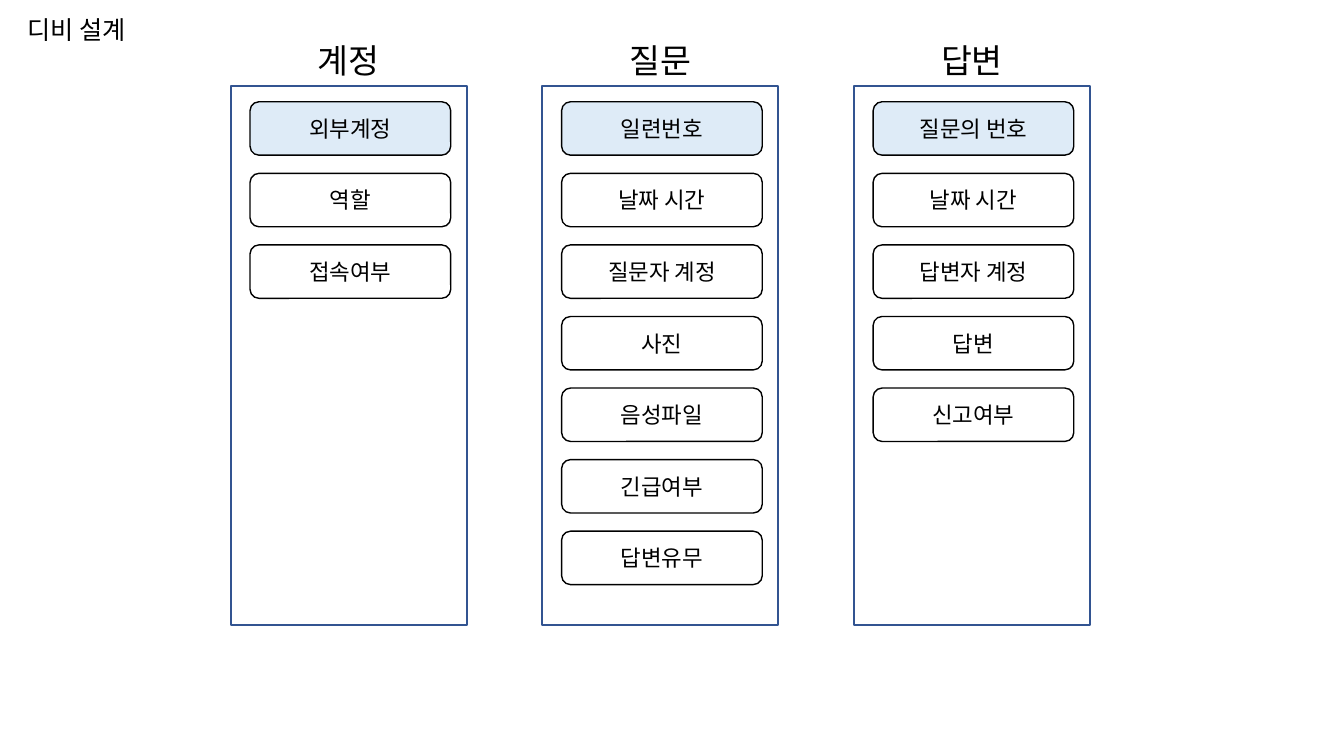
"""Builds the database design slide: three tables with their fields."""
from lxml import etree
from pptx import Presentation
from pptx import util as u
from pptx.dml.color import RGBColor
from pptx.enum import shapes, text
from pptx.oxml.ns import qn

HEADING = "디비 설계"
TABLES = [
    ("계정", ["외부계정", "역할", "접속여부"]),
    ("질문", ["일련번호", "날짜 시간", "질문자 계정", "사진", "음성파일", "긴급여부", "답변유무"]),
    ("답변", ["질문의 번호", "날짜 시간", "답변자 계정", "답변", "신고여부"]),
]
FONT = "Noto Sans CJK KR"
BLACK, FRAME_BLUE, KEY_BLUE = "000000", "325491", "DEEBF7"

TABLE_LEFT, TABLE_TOP, TABLE_PITCH = 2.29, 0.85, 3.09
TABLE_WIDTH, TABLE_HEIGHT = 2.34, 5.35
TITLE_HEIGHT = 0.5
FIELD_INSET, FIELD_TOP, FIELD_PITCH = 0.19, 1.01, 0.71
FIELD_WIDTH, FIELD_HEIGHT = 1.99, 0.53


def color(value):
    return RGBColor.from_string(value)


def write(frame, wording, size, align):
    frame.word_wrap = True
    paragraph = frame.paragraphs[0]
    paragraph.text = wording
    paragraph.alignment = align
    paragraph.font.size = u.Pt(size)
    paragraph.font.color.rgb = color(BLACK)
    paragraph.font.name = FONT
    defaults = paragraph._p.pPr.find(qn("a:defRPr"))
    etree.SubElement(defaults, qn("a:ea"), typeface=FONT)


def add_label(slide, box, wording, size, align):
    label = slide.shapes.add_textbox(*map(u.Inches, box))
    write(label.text_frame, wording, size, align)
    label.text_frame.auto_size = text.MSO_AUTO_SIZE.SHAPE_TO_FIT_TEXT


def add_box(slide, preset, box, line, width, fill=None):
    outline = slide.shapes.add_shape(preset, *map(u.Inches, box))
    outline.shadow.inherit = False
    outline.line.color.rgb = color(line)
    outline.line.width = u.Pt(width)
    if fill:
        outline.fill.solid()
        outline.fill.fore_color.rgb = color(fill)
    else:
        outline.fill.background()
    return outline


def add_table_column(slide, left, title, fields):
    add_box(slide, shapes.MSO_SHAPE.RECTANGLE,
            (left, TABLE_TOP, TABLE_WIDTH, TABLE_HEIGHT), FRAME_BLUE, 1.5)
    add_label(slide, (left, TABLE_TOP - TITLE_HEIGHT, TABLE_WIDTH, TITLE_HEIGHT),
              title, 24, text.PP_ALIGN.CENTER)
    for row, wording in enumerate(fields):
        box = (left + FIELD_INSET, FIELD_TOP + row * FIELD_PITCH, FIELD_WIDTH, FIELD_HEIGHT)
        field = add_box(slide, shapes.MSO_SHAPE.ROUNDED_RECTANGLE, box, BLACK, 1,
                        KEY_BLUE if row == 0 else None)
        field.text_frame.vertical_anchor = text.MSO_ANCHOR.MIDDLE
        write(field.text_frame, wording, 16, text.PP_ALIGN.CENTER)


def main():
    deck = Presentation()
    deck.slide_width, deck.slide_height = u.Inches(13.33), u.Inches(7.5)
    slide = deck.slides.add_slide(deck.slide_layouts[6])
    for column, (title, fields) in enumerate(TABLES):
        add_table_column(slide, TABLE_LEFT + column * TABLE_PITCH, title, fields)
    add_label(slide, (0.17, 0.09, 2.02, 0.4), HEADING, 18, text.PP_ALIGN.LEFT)
    deck.save("out.pptx")


if __name__ == "__main__":
    main()
